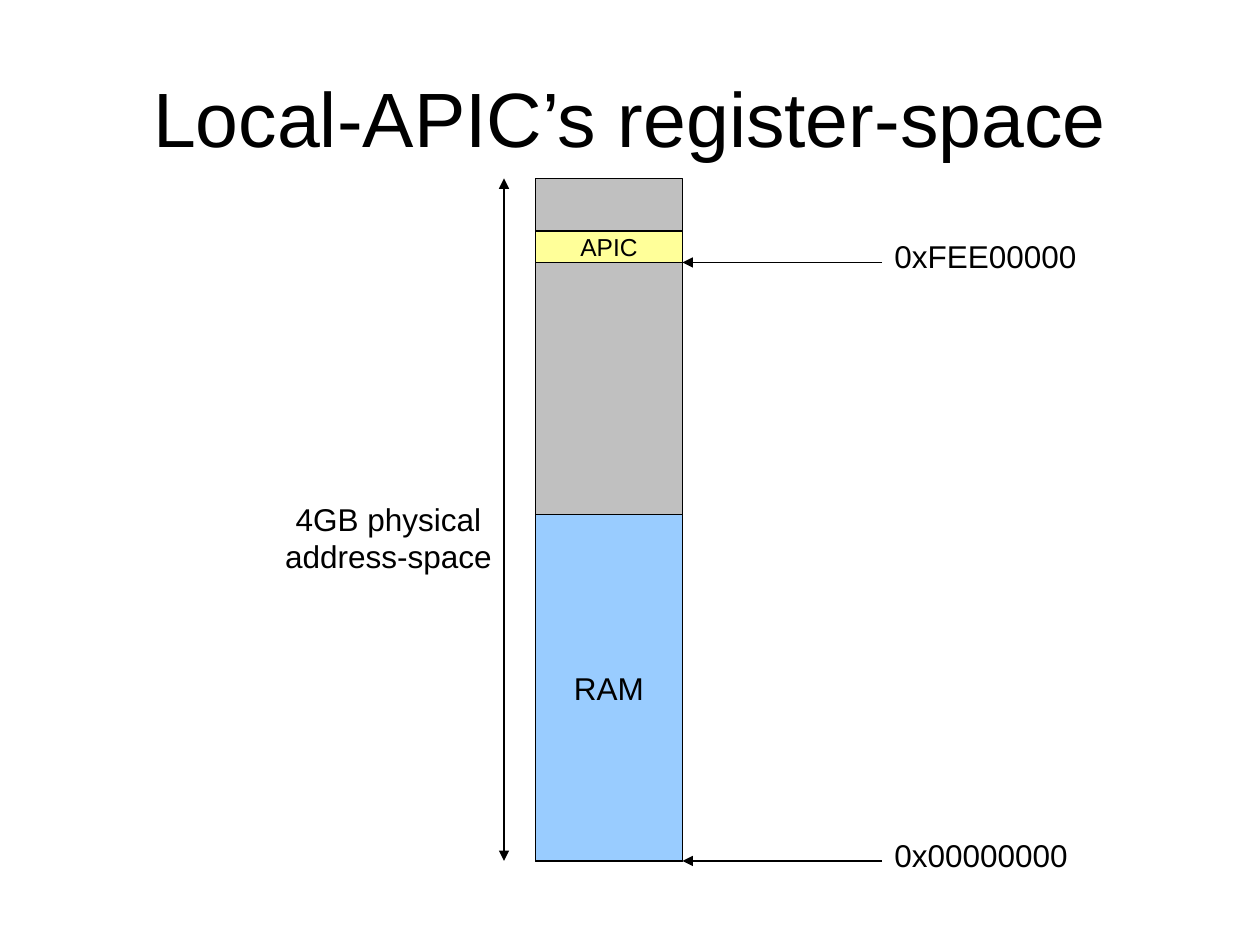
from dataclasses import dataclass

from lxml import etree
from pptx import Presentation
from pptx import util as u
from pptx.dml.color import RGBColor
from pptx.enum import shapes, text
from pptx.oxml.ns import qn

COLUMNS, ROWS = 120, 90
CELL = u.Inches(10) / COLUMNS


@dataclass(frozen=True)
class Theme:
    font: str = "Arial"
    ink: str = "000000"
    unused: str = "C0C0C0"
    apic: str = "FFFF99"
    ram: str = "99CCFF"
    title: int = 44
    label: int = 18
    small: int = 14
    rule: float = 0.75


THEME = Theme()
CENTERED = {"anchor": text.MSO_ANCHOR.MIDDLE, "align": text.PP_ALIGN.CENTER}


def cells(*counts):
    """Turn counts of grid cells into slide lengths."""
    return [u.Emu(round(count * CELL)) for count in counts]


def rgb(value):
    return RGBColor.from_string(value)


def write(holder, wording, size, anchor=text.MSO_ANCHOR.TOP,
          align=text.PP_ALIGN.LEFT, wrap=True):
    frame = holder.text_frame
    frame.text = wording
    for name, value in {"word_wrap": wrap, "vertical_anchor": anchor}.items():
        setattr(frame, name, value)
    for paragraph in frame.paragraphs:
        paragraph.alignment = align
        for name, value in {"name": THEME.font, "size": u.Pt(size)}.items():
            setattr(paragraph.font, name, value)
        paragraph.font.color.rgb = rgb(THEME.ink)


def add_text(slide, box, wording, size=THEME.label, **layout):
    write(slide.shapes.add_textbox(*cells(*box)), wording, size, **layout)


def add_region(slide, box, fill, wording="", size=THEME.label):
    region = slide.shapes.add_shape(shapes.MSO_SHAPE.RECTANGLE, *cells(*box))
    region.shadow.inherit = False
    region.fill.solid()
    region.fill.fore_color.rgb = rgb(fill)
    region.line.color.rgb = rgb(THEME.ink)
    region.line.width = u.Pt(THEME.rule)
    if wording:
        write(region, wording, size, wrap=False, **CENTERED)


def add_arrow(slide, start, end, tips=("tailEnd",)):
    arrow = slide.shapes.add_connector(
        shapes.MSO_CONNECTOR.STRAIGHT, *cells(*start, *end))
    arrow.line.color.rgb = rgb(THEME.ink)
    arrow.line.width = u.Pt(THEME.rule)
    outline = arrow.line._get_or_add_ln()
    for tip in tips:
        etree.SubElement(outline, qn(f"a:{tip}"), type="triangle")
    etree.SubElement(arrow._element.spPr, qn("a:effectLst"))


def add_memory_map(slide, box):
    """Draw the address space, with RAM at its foot and the APIC near its top."""
    left, top, width, height = box
    apic_top, apic_height, ram_height = top + 5, 3, 33
    bottom = top + height
    add_region(slide, box, THEME.unused)
    add_region(slide, (left, apic_top, width, apic_height), THEME.apic,
               "APIC", THEME.small)
    add_region(slide, (left, bottom - ram_height, width, ram_height),
               THEME.ram, "RAM")


def add_address(slide, box, wording):
    """Point an arrow at the box's left edge, its label at the right end."""
    left, level, width, height = box
    label_width = 20
    label_left = left + width - label_width
    add_arrow(slide, (label_left, level), (left, level))
    add_text(slide, (label_left, level - 3, label_width, height), wording)


def add_extent(slide, box, wording):
    """Span the box's right edge with a double arrow, its label to the left."""
    left, top, width, height = box
    right, slack = left + width, 0.5
    add_arrow(slide, (right, top), (right, top + height), ("headEnd", "tailEnd"))
    add_text(slide, (left - slack, top + 30, width + 2 * slack, 8.4), wording,
             align=text.PP_ALIGN.CENTER)


def main():
    deck = Presentation()
    deck.slide_width, deck.slide_height = cells(COLUMNS, ROWS)
    slide = deck.slides.add_slide(deck.slide_layouts[6])

    left, top, width, height = memory = (51, 17, 14, 65)
    right, bottom = left + width, top + height
    add_text(slide, (6, 3.6, 108, 15), "Local-APIC’s register-space",
             THEME.title, **CENTERED)
    add_memory_map(slide, memory)
    add_extent(slide, (26, top, 22, height), "4GB physical\naddress-space")
    for level, address in ((top + 8, "0xFEE00000"), (bottom, "0x00000000")):
        add_address(slide, (right, level, 39, 4.8), address)
    deck.save("out.pptx")


if __name__ == "__main__":
    main()
